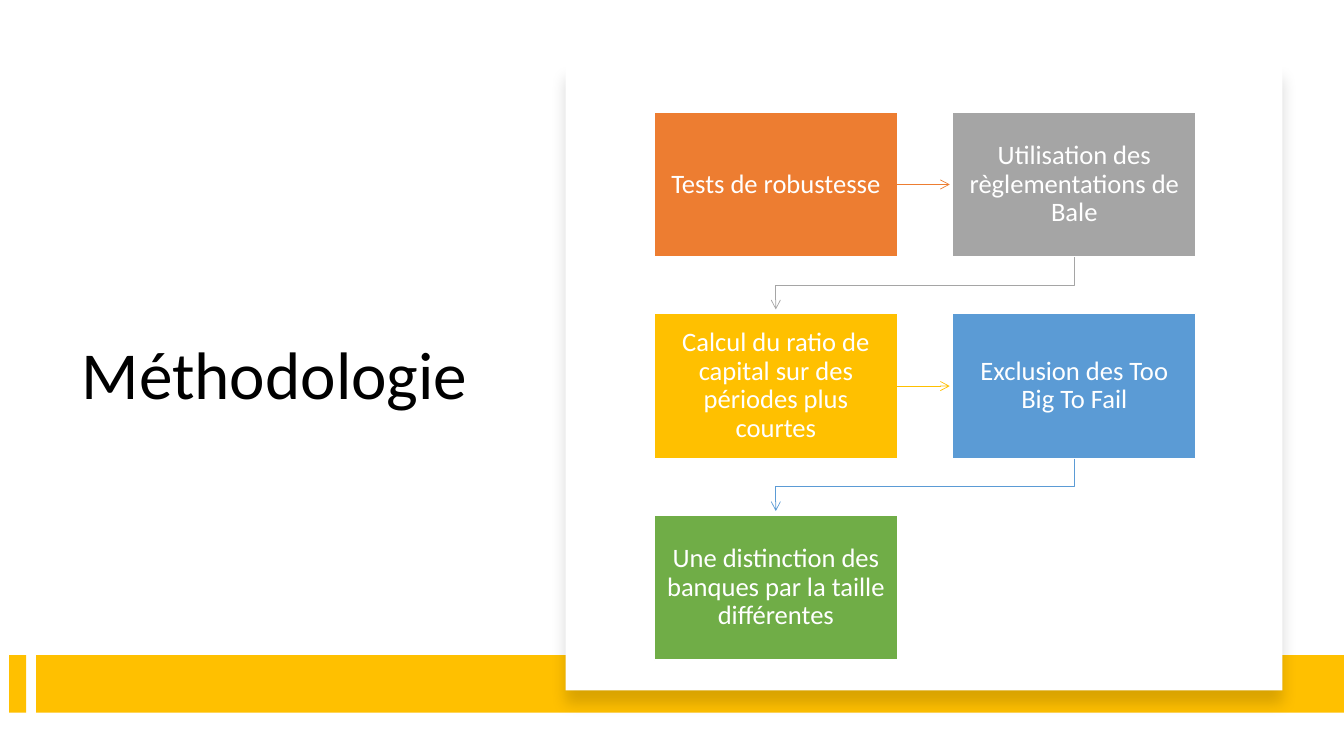
from dataclasses import dataclass
from typing import Any

from lxml import etree
from pptx import Presentation
from pptx.dml.color import RGBColor
from pptx.enum.shapes import MSO_CONNECTOR, MSO_SHAPE
from pptx.enum.text import MSO_ANCHOR, MSO_AUTO_SIZE, PP_ALIGN
from pptx.oxml.ns import qn
from pptx.util import Inches, Pt

RECTANGLE = MSO_SHAPE.RECTANGLE
STRAIGHT = MSO_CONNECTOR.STRAIGHT
MIDDLE = MSO_ANCHOR.MIDDLE
NO_AUTOFIT = MSO_AUTO_SIZE.NONE
LEFT, CENTER = PP_ALIGN.LEFT, PP_ALIGN.CENTER

GOLD, WHITE, BLACK = "FFC000", "FFFFFF", "000000"
BOX_WIDTH, BOX_HEIGHT = 2.41, 1.44
GRID_LEFT, GRID_TOP = 6.49, 1.11
COLUMN_STEP, ROW_STEP = 2.96, 2.0
COLUMNS = 2
ARROW_LENGTH = 0.52
ELBOW_DROP = 0.28
RIGHT_SIDE = 3


@dataclass
class Area:
    left: float
    top: float
    width: float
    height: float


@dataclass
class Step:
    text: str
    color: str


BARS = [Area(0.09, 6.5, 0.17, 0.57), Area(0.36, 6.5, 12.97, 0.57)]
PANEL = Area(5.61, 0.64, 7.11, 6.21)
STEPS = [
    Step("Tests de robustesse", "ED7D31"),
    Step("Utilisation des règlementations de Bale", "A5A5A5"),
    Step("Calcul du ratio de capital sur des périodes plus courtes", GOLD),
    Step("Exclusion des Too Big To Fail", "5B9BD5"),
    Step("Une distinction des banques par la taille différentes", "70AD47"),
]


def rgb(color: str) -> RGBColor:
    return RGBColor.from_string(color)


def apply_format(target: Any, values: dict[str, Any]) -> None:
    for name, value in values.items():
        setattr(target, name, value)


def write_text(shape: Any, text: str, size: float, color: str, alignment: Any, inset: float) -> None:
    frame = shape.text_frame
    margins = {f"margin_{side}": Inches(inset) for side in ("left", "top", "right", "bottom")}
    apply_format(frame, {"text": text, "word_wrap": True, "auto_size": NO_AUTOFIT,
                         "vertical_anchor": MIDDLE, **margins})
    paragraph = frame.paragraphs[0]
    apply_format(paragraph, {"alignment": alignment, "line_spacing": 0.9})
    apply_format(paragraph.font, {"name": "Calibri", "size": Pt(size)})
    paragraph.font.color.rgb = rgb(color)


def add_rectangle(slide: Any, area: Area, fill: str) -> Any:
    shape = slide.shapes.add_shape(RECTANGLE, Inches(area.left), Inches(area.top),
                                   Inches(area.width), Inches(area.height))
    shape.shadow.inherit = False
    shape.fill.solid()
    shape.fill.fore_color.rgb = rgb(fill)
    shape.line.fill.background()
    return shape


def add_panel(slide: Any) -> None:
    panel = add_rectangle(slide, PANEL, WHITE)
    effects = panel._element.spPr.find(qn("a:effectLst"))
    shadow = etree.SubElement(effects, qn("a:outerShdw"), blurRad=str(Pt(11)), dist=str(Pt(10)),
                              dir="5400000", algn="t", rotWithShape="0")
    shade = etree.SubElement(shadow, qn("a:srgbClr"), val=BLACK)
    etree.SubElement(shade, qn("a:alpha"), val="15000")


def step_area(index: int) -> Area:
    row, column = divmod(index, COLUMNS)
    return Area(GRID_LEFT + column * COLUMN_STEP, GRID_TOP + row * ROW_STEP, BOX_WIDTH, BOX_HEIGHT)


def add_step(slide: Any, step: Step, area: Area) -> Any:
    box = add_rectangle(slide, area, step.color)
    box.line.color.rgb = rgb(WHITE)
    box.line.width = Pt(1)
    write_text(box, step.text, 19, WHITE, CENTER, 0.12)
    return box


def style_arrow(arrow: Any, color: str) -> None:
    arrow.line.color.rgb = rgb(color)
    arrow.line.width = Pt(0.5)
    properties = arrow._element.spPr
    etree.SubElement(properties.find(qn("a:ln")), qn("a:tailEnd"), type="arrow")
    if properties.find(qn("a:effectLst")) is None:
        etree.SubElement(properties, qn("a:effectLst"))


def add_straight_arrow(slide: Any, box: Any, color: str) -> None:
    start = box.left + box.width
    middle = box.top + box.height // 2
    arrow = slide.shapes.add_connector(STRAIGHT, start, middle, start + Inches(ARROW_LENGTH), middle)
    arrow.begin_connect(box, RIGHT_SIDE)
    style_arrow(arrow, color)


def add_elbow_arrow(slide: Any, box: Any, color: str) -> None:
    start_x, start_y = box.left + box.width // 2, box.top + box.height
    end_x, end_y = start_x - Inches(COLUMN_STEP), start_y + Inches(ARROW_LENGTH)
    bend_y = start_y + Inches(ELBOW_DROP)
    builder = slide.shapes.build_freeform(start_x, start_y)
    builder.add_line_segments([(start_x, bend_y), (end_x, bend_y), (end_x, end_y)], close=False)
    arrow = builder.convert_to_shape()
    arrow.shadow.inherit = False
    arrow.fill.background()
    style_arrow(arrow, color)


def main() -> None:
    presentation = Presentation()
    presentation.slide_width = Inches(13.33)
    presentation.slide_height = Inches(7.5)
    slide = presentation.slides.add_slide(presentation.slide_layouts[5])

    title = slide.shapes.title
    apply_format(title, {"left": Inches(0.71), "top": Inches(1.2),
                         "width": Inches(4.15), "height": Inches(5.1)})
    write_text(title, "Méthodologie", 48, BLACK, LEFT, 0.1)

    for bar in BARS:
        add_rectangle(slide, bar, GOLD)
    add_panel(slide)

    boxes = [add_step(slide, step, step_area(index)) for index, step in enumerate(STEPS)]
    for index, (step, box) in enumerate(zip(STEPS[:-1], boxes)):
        add_arrow = add_straight_arrow if index % COLUMNS == 0 else add_elbow_arrow
        add_arrow(slide, box, step.color)

    presentation.save("out.pptx")


if __name__ == "__main__":
    main()
